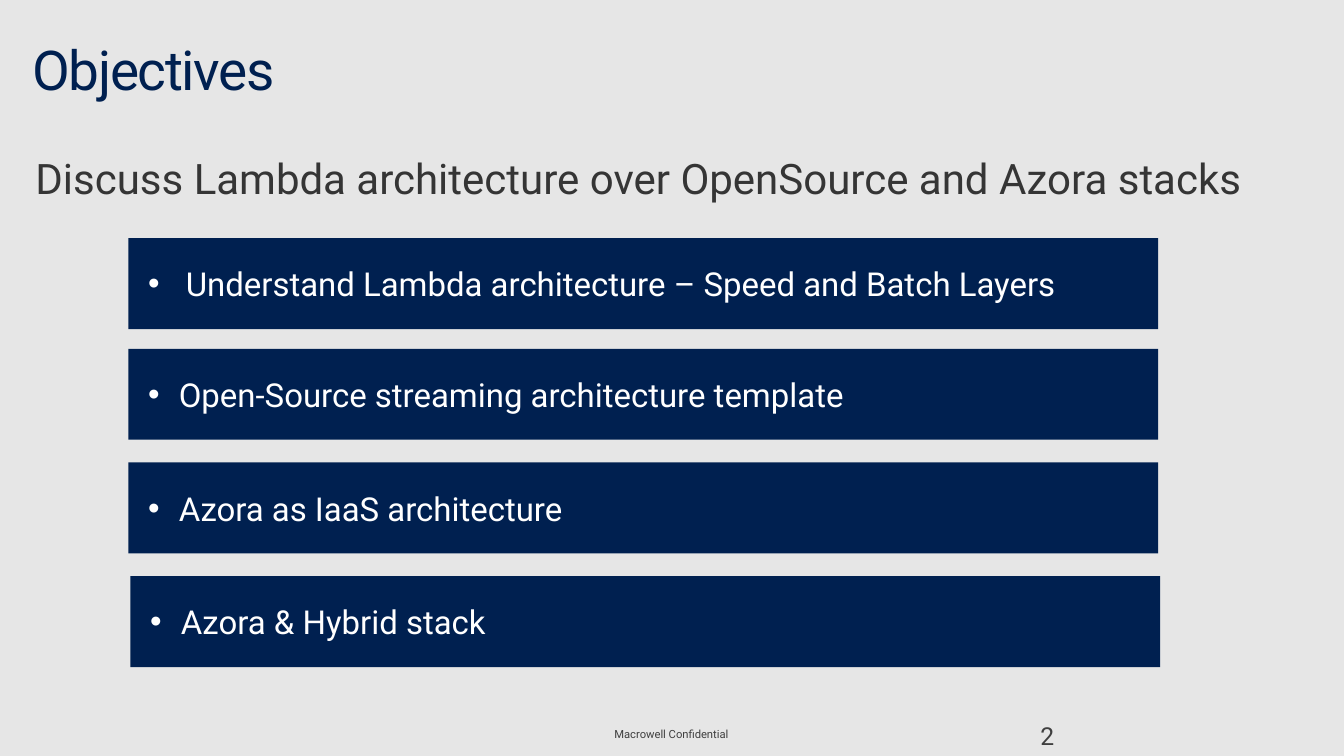
from lxml import etree
from pptx import Presentation
from pptx.dml.color import RGBColor
from pptx.enum.shapes import MSO_SHAPE
from pptx.enum.text import MSO_ANCHOR, PP_ALIGN
from pptx.oxml.ns import qn
from pptx.util import Inches, Pt

RECTANGLE = MSO_SHAPE.RECTANGLE
TOP, MIDDLE = MSO_ANCHOR.TOP, MSO_ANCHOR.MIDDLE
LEFT, CENTER = PP_ALIGN.LEFT, PP_ALIGN.CENTER

NAVY, WHITE, GREY = "002050", "FFFFFF", "E6E6E6"
BODY_TEXT, FOOTER_TEXT = "353535", "3F3F3F"


def color(value):
    return RGBColor.from_string(value)


class ObjectivesSlide:
    font_name = "Roboto"

    def __init__(self, presentation):
        self.slide = presentation.slides.add_slide(presentation.slide_layouts[6])
        fill = self.slide.background.fill
        fill.solid()
        fill.fore_color.rgb = color(GREY)

    def fill_text(self, shape, text, size, text_color, insets, anchor=TOP,
                  bullet_indent=None, letter_spacing=None, **paragraph_format):
        frame = shape.text_frame
        left, top, right, bottom = (Inches(inset) for inset in insets)
        frame_format = {
            "word_wrap": True, "vertical_anchor": anchor,
            "margin_left": left, "margin_top": top,
            "margin_right": right, "margin_bottom": bottom,
        }
        for name, value in frame_format.items():
            setattr(frame, name, value)

        paragraph = frame.paragraphs[0]
        for name, value in {"alignment": LEFT, **paragraph_format}.items():
            setattr(paragraph, name, value)
        if bullet_indent:
            properties = paragraph._p.get_or_add_pPr()
            properties.set("marL", str(Inches(bullet_indent)))
            properties.set("indent", str(-Inches(bullet_indent)))
            etree.SubElement(properties, qn("a:buFont"), typeface="Arial")
            etree.SubElement(properties, qn("a:buChar"), char="•")

        run = paragraph.add_run()
        run.text = text
        for name, value in {"name": self.font_name, "size": Pt(size)}.items():
            setattr(run.font, name, value)
        run.font.color.rgb = color(text_color)
        if letter_spacing:
            run._r.get_or_add_rPr().set("spc", str(letter_spacing * 100))

    def text_box(self, box, *text, **text_format):
        shape = self.slide.shapes.add_textbox(*(Inches(length) for length in box))
        self.fill_text(shape, *text, **text_format)

    def bar(self, box, text, bullet_indent):
        shape = self.slide.shapes.add_shape(
            RECTANGLE, *(Inches(length) for length in box))
        shape.shadow.inherit = False
        shape.fill.solid()
        shape.fill.fore_color.rgb = color(NAVY)
        shape.line.fill.background()
        self.fill_text(shape, text, 24, WHITE, (0.2, 0.16, 0.2, 0.16),
                       anchor=MIDDLE, bullet_indent=bullet_indent)


def main():
    presentation = Presentation()
    presentation.slide_width = Inches(13.6)
    presentation.slide_height = Inches(7.65)
    objectives = ObjectivesSlide(presentation)

    # Footer
    objectives.text_box((5.21, 7.22, 3.17, 0.41), "Macrowell Confidential", 8.2,
                        FOOTER_TEXT, (0.2, 0.05, 0.2, 0.05),
                        anchor=MIDDLE, alignment=CENTER)
    objectives.text_box((10.43, 7.24, 3.17, 0.41), "2", 18,
                        FOOTER_TEXT, (0.1, 0.05, 0.1, 0.05))

    # Title and goal
    objectives.text_box((0.17, 0.34, 12.75, 0.76), "Objectives", 40, NAVY,
                        (0.16, 0.1, 0.16, 0.1), letter_spacing=-1, line_spacing=0.9)
    objectives.text_box((0.26, 1.29, 12.58, 1.13),
                        "Discuss Lambda architecture over OpenSource and Azora stacks",
                        30.6, BODY_TEXT, (0.1, 0.05, 0.16, 0.1),
                        line_spacing=1.4, space_after=Pt(6.1))

    # Objective bars: left, top, bullet indent, text
    bars = [
        (1.3, 2.41, 0.38, "Understand Lambda architecture – Speed and Batch Layers"),
        (1.3, 3.53, 0.31, "Open-Source streaming architecture template"),
        (1.3, 4.68, 0.31, "Azora as IaaS architecture"),
        (1.32, 5.83, 0.31, "Azora & Hybrid stack"),
    ]
    for left, top, bullet_indent, text in bars:
        objectives.bar((left, top, 10.42, 0.92), text, bullet_indent)

    presentation.save("out.pptx")


if __name__ == "__main__":
    main()
